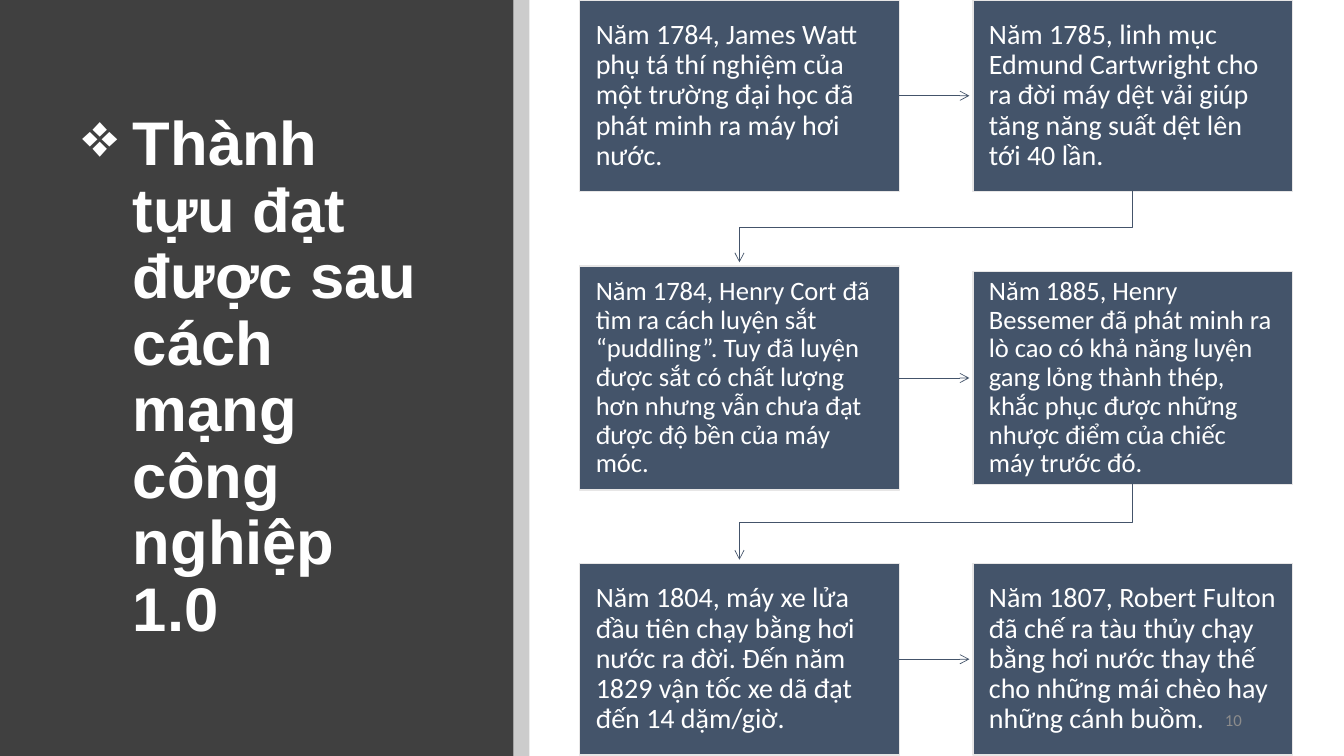
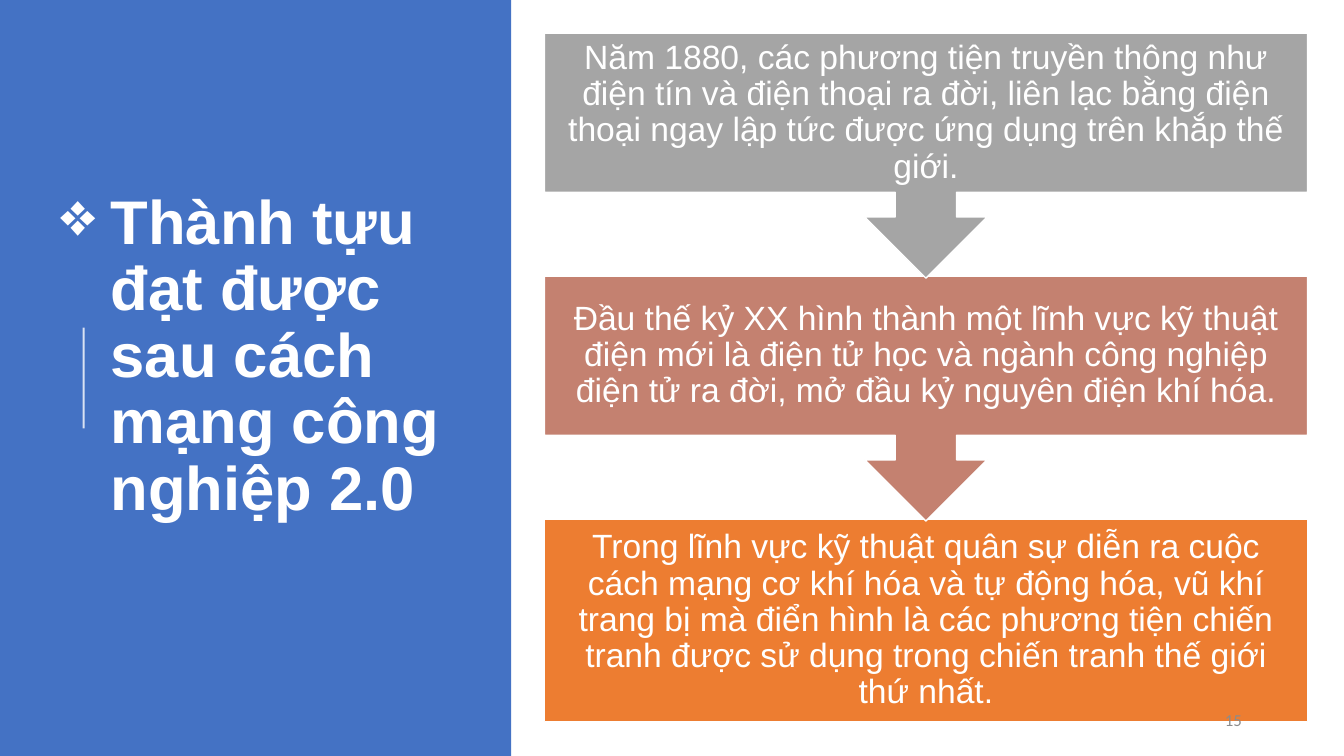
"""Build two slides on the achievements of the first and second industrial revolutions."""
from lxml.etree import SubElement as Sub
from pptx import Presentation
from pptx.dml.color import RGBColor as Rgb
from pptx.enum.shapes import MSO_CONNECTOR as Link, MSO_SHAPE as Form
from pptx.enum.text import MSO_ANCHOR as Anchor, PP_ALIGN as Align
from pptx.oxml.ns import qn
from pptx.util import Inches, Pt

HUES = {"dark": "404040", "blue": "4472C4", "navy": "44546A", "pale": "E7E6E6",
        "gray": "A5A5A5", "rose": "C48170", "gold": "ED7D31", "dim": "8C8C8C",
        "white": "FFFFFF", "black": "000000"}
INK = {name: Rgb.from_string(code) for name, code in HUES.items()}
HEAD = {"name": "Arial", "size": Pt(44), "bold": True}
STEP = {"name": "Arial", "size": Pt(24)}
NOTE = {"name": "Calibri", "size": Pt(20)}
TIGHT = {"name": "Calibri", "size": Pt(19)}
PAGE = {"name": "Calibri", "size": Pt(12)}

deck = Presentation()
deck.slide_width, deck.slide_height = Inches(13.33), Inches(7.5)
COL, ROW = deck.slide_width / 100, deck.slide_height / 100


def block(slide, form, area, fill, edge=None):
    """Add a filled shape; area is left, top, width, height in percent of the slide."""
    x, y, w, h = area
    shape = slide.shapes.add_shape(form, int(x * COL), int(y * ROW), int(w * COL), int(h * ROW))
    shape.shadow.inherit = False
    shape.fill.solid()
    shape.fill.fore_color.rgb = INK[fill]
    if edge:
        shape.line.color.rgb = INK[edge]
        shape.line.width = Pt(1)
    else:
        shape.line.fill.background()
    return shape


def write(shape, text, font, align=Align.LEFT, pad=None, ink="white", mark=None):
    """Put one styled paragraph in a shape."""
    frame = shape.text_frame
    frame.word_wrap = True
    frame.vertical_anchor = Anchor.MIDDLE
    if pad:
        for side in ("left", "top", "right", "bottom"):
            setattr(frame, f"margin_{side}", Inches(pad))
    para = frame.paragraphs[0]
    para.alignment = align
    para.line_spacing = 0.9
    if mark:
        props = para._p.get_or_add_pPr()
        props.set("marL", str(Inches(0.5)))
        props.set("indent", str(-Inches(0.5)))
        Sub(props, qn("a:buChar"), char=mark)
    run = para.add_run()
    run.text = text
    for key, value in font.items():
        setattr(run.font, key, value)
    run.font.color.rgb = INK[ink]


slides = []
for fill, wide, area, era in (
        ("dark", 38.2, (5.4, 10.67, 27.38, 78.8), "1.0"),
        ("blue", 38.03, (3.75, 5.73, 30.15, 83.07), "2.0")):
    slide = deck.slides.add_slide(deck.slide_layouts[6])
    block(slide, Form.RECTANGLE, (0, 0, wide, 100), fill)
    x, y, w, h = area
    title = slide.shapes.add_textbox(int(x * COL), int(y * ROW), int(w * COL), int(h * ROW))
    write(title, f"Thành tựu đạt được sau cách mạng công nghiệp {era}", HEAD, mark="❖")
    slides.append(slide)
first, second = slides

band = block(first, Form.RECTANGLE, (38.2, 0, 1.2, 100), "black")
Sub(band._element.spPr.find(qn("a:solidFill"))[0], qn("a:alpha"), val="20000")

LEFT, PITCH, WIDE, GAP = 43.13, 29.25, 23.78, 0.25
grid = (
    (12.67, NOTE, (
        (25.33, "Năm 1784, James Watt phụ tá thí nghiệm của một trường đại học đã phát minh ra máy hơi nước."),
        (25.33, "Năm 1785, linh mục Edmund Cartwright cho ra đời máy dệt vải giúp tăng năng suất dệt lên tới 40 lần."))),
    (50, TIGHT, (
        (29.6, "Năm 1784, Henry Cort đã tìm ra cách luyện sắt “puddling”. Tuy đã luyện được sắt có chất lượng hơn nhưng vẫn chưa đạt được độ bền của máy móc."),
        (28.13, "Năm 1885, Henry Bessemer đã phát minh ra lò cao có khả năng luyện gang lỏng thành thép, khắc phục được những nhược điểm của chiếc máy trước đó."))),
    (87.2, NOTE, (
        (25.33, "Năm 1804, máy xe lửa đầu tiên chạy bằng hơi nước ra đời. Đến năm 1829 vận tốc xe dã đạt đến 14 dặm/giờ."),
        (25.33, "Năm 1807, Robert Fulton đã chế ra tàu thủy chạy bằng hơi nước thay thế cho những mái chèo hay những cánh buồm."))),
)
links = []
for row, (mid, font, cells) in enumerate(grid):
    for col, (tall, text) in enumerate(cells):
        area = (LEFT + col * PITCH, mid - tall / 2, WIDE, tall)
        write(block(first, Form.RECTANGLE, area, "navy", "pale"), text, font, pad=0.16)
    y = int(mid * ROW)
    links.append(first.shapes.add_connector(
        Link.STRAIGHT, int((LEFT + WIDE) * COL), y, int((LEFT + PITCH - GAP) * COL), y))
    if row + 1 < len(grid):
        low, after = mid + cells[1][0] / 2, grid[row + 1]
        high = after[0] - after[2][0][0] / 2 - 2 * GAP
        x, y = (LEFT + (WIDE + PITCH) / 2) * COL, (low + high) / 2 * ROW
        run, drop = PITCH / 2 * COL, (high - low) / 2 * ROW
        elbow = first.shapes.add_connector(
            Link.ELBOW, int(x - drop), int(y - run), int(x + drop), int(y + run))
        elbow._element.spPr.find(qn("a:xfrm")).set("rot", "5400000")
        links.append(elbow)
for link in links:
    link.line.color.rgb = INK["navy"]
    link.line.width = Pt(0.5)
    Sub(link.line._get_or_add_ln(), qn("a:tailEnd"), type="arrow")

rule = second.shapes.add_connector(
    Link.STRAIGHT, int(6.22 * COL), int(56.67 * ROW), int(6.22 * COL), int(43.33 * ROW))
rule.line.color.rgb = INK["white"]
rule.line.width = Pt(1.5)
Sub(rule.line._get_or_add_ln().find(qn("a:solidFill"))[0], qn("a:alpha"), val="80000")
for link in (*links, rule):
    Sub(link._element.spPr, qn("a:effectLst"))

steps = (
    (Form.DOWN_ARROW_CALLOUT, 32.4, "gray",
     "Năm 1880, các phương tiện truyền thông như điện tín và điện thoại ra đời, liên lạc bằng điện thoại ngay lập tức được ứng dụng trên khắp thế giới."),
    (Form.DOWN_ARROW_CALLOUT, 32.4, "rose",
     "Đầu thế kỷ XX hình thành một lĩnh vực kỹ thuật điện mới là điện tử học và ngành công nghiệp điện tử ra đời, mở đầu kỷ nguyên điện khí hóa."),
    (Form.RECTANGLE, 26.8, "gold",
     "Trong lĩnh vực kỹ thuật quân sự diễn ra cuộc cách mạng cơ khí hóa và tự động hóa, vũ khí trang bị mà điển hình là các phương tiện chiến tranh được sử dụng trong chiến tranh thế giới thứ nhất."),
)
for row, (form, tall, fill, text) in reversed(list(enumerate(steps))):
    area = (40.5, 4.4 + row * 32.13, 56.78, tall)
    write(block(second, form, area, fill, "white"), text, STEP, Align.CENTER, 0.19)

for slide, number in zip(slides, ("10", "15")):
    foot = slide.shapes.add_textbox(
        int(70.65 * COL), int(92.67 * ROW), int(22.5 * COL), int(5.33 * ROW))
    write(foot, number, PAGE, Align.RIGHT, ink="dim")

deck.save("out.pptx")
